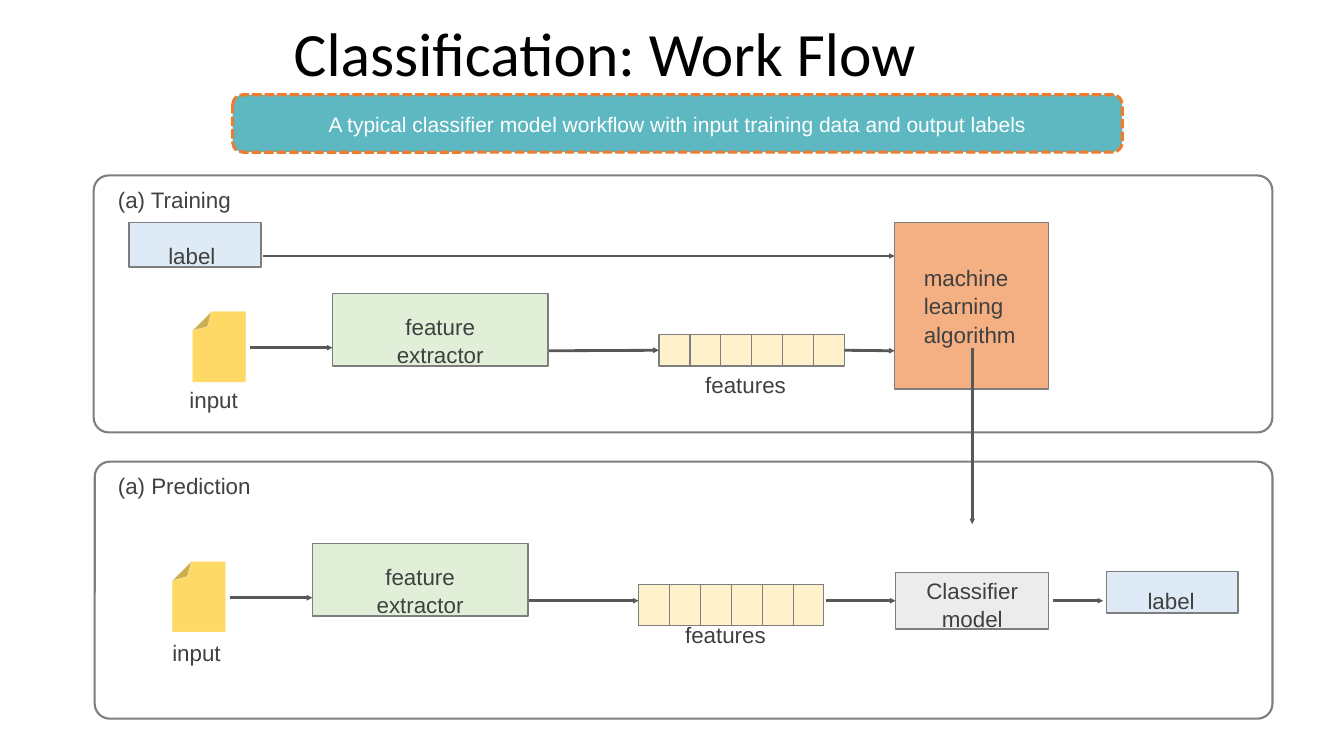
from dataclasses import dataclass

from pptx import Presentation
from pptx.dml.color import RGBColor
from pptx.enum.dml import MSO_LINE
from pptx.enum.shapes import MSO_CONNECTOR, MSO_SHAPE
from pptx.enum.text import MSO_ANCHOR, PP_ALIGN
from pptx.oxml.ns import qn
from pptx.util import Inches, Pt
from lxml.etree import SubElement


@dataclass(frozen=True)
class Theme:
    black: str = "000000"
    white: str = "FFFFFF"
    ink: str = "404040"
    border: str = "7E7E7E"
    arrow: str = "585858"
    blue: str = "DEEBF7"
    green: str = "E1EFD9"
    orange: str = "F4B083"
    grey: str = "ECECEC"
    cream: str = "FFF1CC"
    paper: str = "FFD966"
    fold: str = "CDAD52"
    teal: str = "5EB8C2"
    dash: str = "EC7C30"
    title_font: str = "Calibri"
    body_font: str = "Arial"
    title_size: float = 44
    body_size: float = 16
    banner_size: float = 15


def rgb(code):
    return RGBColor.from_string(code)


def write(frame, text, *, size, color, font, align=PP_ALIGN.LEFT,
          anchor=MSO_ANCHOR.TOP, insets=(0, 0.01, 0, 0), spacing=1.05):
    """Fill a text frame; insets are left, top, right, bottom in inches."""
    frame.word_wrap = True
    frame.vertical_anchor = anchor
    (frame.margin_left, frame.margin_top,
     frame.margin_right, frame.margin_bottom) = map(Inches, insets)
    para = frame.paragraphs[0]
    para.alignment = align
    para.line_spacing = spacing
    span = para.add_run()
    span.text = text
    span.font.name = font
    span.font.size = Pt(size)
    span.font.color.rgb = rgb(color)


class WorkflowSlide:
    CELL_COUNT = 6
    CELL_WIDTH = 1.84 / CELL_COUNT

    def __init__(self, page, theme):
        self.page = page
        self.theme = theme

    def body(self, frame, text, **style):
        defaults = dict(size=self.theme.body_size, color=self.theme.ink,
                        font=self.theme.body_font)
        write(frame, text, **(defaults | style))

    def title(self, text, *place):
        holder = self.page.shapes.title
        holder.left, holder.top, holder.width, holder.height = map(Inches, place)
        write(holder.text_frame, text, size=self.theme.title_size,
              color=self.theme.black, font=self.theme.title_font,
              align=PP_ALIGN.CENTER, anchor=MSO_ANCHOR.MIDDLE, spacing=1.0)

    def paint(self, shape, fill, line, width):
        shape.shadow.inherit = False
        if fill:
            shape.fill.solid()
            shape.fill.fore_color.rgb = rgb(fill)
        else:
            shape.fill.background()
        shape.line.color.rgb = rgb(line)
        shape.line.width = Pt(width)

    def box(self, *place, fill=None, text=None, **style):
        box = self.page.shapes.add_shape(MSO_SHAPE.RECTANGLE, *map(Inches, place))
        self.paint(box, fill, self.theme.border, 1)
        if text:
            self.body(box.text_frame, text, **style)
        return box

    def panel(self, *place, radius, fill=None, line=None, width=1.5):
        panel = self.page.shapes.add_shape(MSO_SHAPE.ROUNDED_RECTANGLE,
                                           *map(Inches, place))
        panel.adjustments[0] = radius / place[3]
        self.paint(panel, fill, line or self.theme.border, width)
        return panel

    def caption(self, text, *place):
        box = self.page.shapes.add_textbox(*map(Inches, place))
        self.body(box.text_frame, text)

    def arrow(self, *ends, source=None, target=None):
        """Draw an arrow; source and target are (shape, side) pairs to join."""
        arrow = self.page.shapes.add_connector(MSO_CONNECTOR.STRAIGHT,
                                               *map(Inches, ends))
        if source:
            arrow.begin_connect(*source)
        if target:
            arrow.end_connect(*target)
        arrow.line.color.rgb = rgb(self.theme.arrow)
        arrow.line.width = Pt(2)
        SubElement(arrow.line._get_or_add_ln(), qn("a:tailEnd"),
                   type="triangle", w="sm", len="sm")
        SubElement(arrow._element.spPr, qn("a:effectLst"))

    def outline(self, points, fill):
        corners = [(Inches(x), Inches(y)) for x, y in points]
        builder = self.page.shapes.build_freeform(*corners[0])
        builder.add_line_segments(corners[1:], close=True)
        self.paint(builder.convert_to_shape(), fill, self.theme.cream, 0.25)

    def document(self, left, top):
        right, bottom, ear = left + 0.53, top + 0.7, 0.19
        tip, notch = (left + ear, top), (left, top + ear)
        self.outline([tip, notch, (left, bottom), (right, bottom), (right, top)],
                     self.theme.paper)
        self.outline([tip, notch, (left + 0.15, top + 0.15)], self.theme.fold)

    def feature_boxes(self, left, top):
        return [self.box(left + index * self.CELL_WIDTH, top, self.CELL_WIDTH, 0.31,
                         fill=self.theme.cream)
                for index in range(self.CELL_COUNT)]

    def feature_table(self, left, top, height):
        table = self.page.shapes.add_table(
            1, self.CELL_COUNT, Inches(left), Inches(top),
            Inches(self.CELL_WIDTH * self.CELL_COUNT), Inches(height)).table
        table.first_row = table.horz_banding = False
        for cell in table.iter_cells():
            properties = cell._tc.get_or_add_tcPr()
            for side in ("a:lnL", "a:lnR", "a:lnT", "a:lnB"):
                edge = SubElement(properties, qn(side), w=str(Pt(0.75)))
                paint = SubElement(edge, qn("a:solidFill"))
                SubElement(paint, qn("a:srgbClr"), val=self.theme.border)
            cell.fill.solid()
            cell.fill.fore_color.rgb = rgb(self.theme.cream)

    def extraction(self, left, top, target=None):
        """Draw the steps from input to features that both phases share."""
        self.document(left, top)
        self.box(left + 1.39, top - 0.18, 2.14, 0.72, fill=self.theme.green,
                 text="feature extractor", align=PP_ALIGN.CENTER,
                 insets=(0.5, 0.18, 0.5, 0))
        self.arrow(left + 0.57, top + 0.36, left + 1.39, top + 0.36)
        self.arrow(left + 3.54, top + 0.39, left + 4.63, top + 0.39, target=target)
        self.caption("features", left + 5.09, top + 0.57, 0.85, 0.54)


def main():
    deck = Presentation()
    deck.slide_width, deck.slide_height = Inches(13.34), Inches(7.5)
    theme = Theme()
    slide = WorkflowSlide(deck.slides.add_slide(deck.slide_layouts[5]), theme)

    slide.title("Classification: Work Flow", 2.4, 0.13, 7.21, 0.75)
    banner = slide.panel(2.31, 0.94, 8.83, 0.57, radius=0.1, fill=theme.teal,
                         line=theme.dash, width=2.25)
    banner.line.dash_style = MSO_LINE.SQUARE_DOT
    slide.body(banner.text_frame,
               "A typical classifier model workflow with input training data "
               "and output labels",
               size=theme.banner_size, color=theme.white,
               align=PP_ALIGN.CENTER, anchor=MSO_ANCHOR.MIDDLE)

    slide.panel(0.93, 1.74, 11.7, 2.55, radius=0.15)
    slide.caption("(a) Training", 1.17, 1.82, 1.18, 0.54)
    slide.box(1.28, 2.21, 1.31, 0.44, fill=theme.blue, text="label",
              insets=(0.39, 0.18, 0, 0))
    slide.box(8.88, 2.21, 1.53, 1.65, fill=theme.orange,
              text="machine learning algorithm", insets=(0.29, 0.4, 0.28, 0))
    cells = slide.feature_boxes(6.54, 3.32)
    slide.extraction(1.91, 3.09, target=(cells[0], 1))
    slide.caption("input", 1.88, 3.81, 0.51, 0.54)
    slide.arrow(2.61, 2.54, 8.88, 2.54)
    slide.arrow(8.38, 3.48, 8.88, 3.48, source=(cells[-1], 3))

    slide.panel(0.94, 4.58, 11.69, 2.55, radius=0.15)
    slide.caption("(a) Prediction", 1.17, 4.66, 1.38, 0.54)
    slide.box(10.98, 5.67, 1.31, 0.41, fill=theme.blue, text="label",
              insets=(0.41, 0.14, 0, 0))
    classifier = slide.box(8.89, 5.68, 1.52, 0.56, fill=theme.grey,
                           text="Classifier model", align=PP_ALIGN.CENTER,
                           insets=(0.2, 0.03, 0.2, 0))
    slide.feature_table(6.34, 5.8, 0.3)
    slide.extraction(1.71, 5.57)
    slide.caption("input", 1.71, 6.32, 0.52, 0.54)
    slide.arrow(8.2, 5.96, 8.89, 5.96, target=(classifier, 1))
    slide.arrow(10.45, 5.96, 10.95, 5.96)
    slide.arrow(9.65, 3.45, 9.65, 5.2)

    deck.save("out.pptx")


if __name__ == "__main__":
    main()
